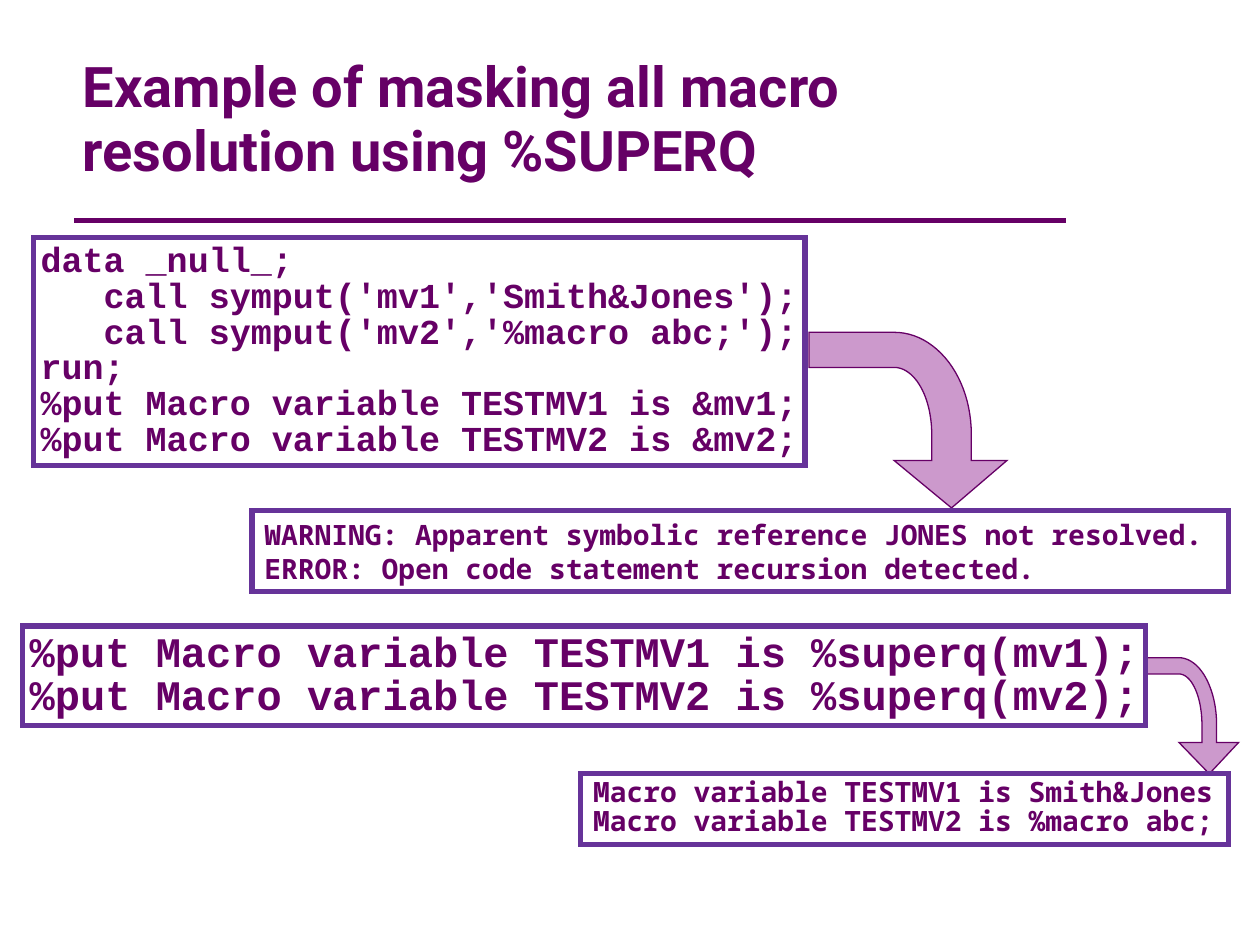
from dataclasses import dataclass
from math import cos, pi, sin

from lxml.etree import SubElement
from pptx import Presentation
from pptx.dml.color import RGBColor
from pptx.enum.shapes import MSO_CONNECTOR, MSO_SHAPE
from pptx.enum.text import MSO_ANCHOR, MSO_AUTO_SIZE, PP_ALIGN
from pptx.oxml.ns import qn
from pptx.util import Cm, Pt

PLUM, VIOLET, LILAC, WHITE = "660066", "663399", "CC99CC", "FFFFFF"
CODE_FONT, LOG_FONT, TITLE_FONT = "Courier New", "Noto Sans Mono", "Roboto"


@dataclass
class Listing:
    left: float
    top: float
    width: float
    height: float
    lines: list[str]
    font: str
    size: int
    left_inset: float = 0.15
    top_inset: float = 0.13
    spacing: float = 0.85
    wrap: bool = False


@dataclass
class BentArrow:
    left: float
    top: float
    width: float
    height: float
    stroke: float


LISTINGS = [
    Listing(0.67, 4.79, 15.56, 4.6, [
        "data _null_;",
        "   call symput('mv1','Smith&Jones');",
        "   call symput('mv2','%macro abc;');",
        "run;",
        "%put Macro variable TESTMV1 is &mv1;",
        "%put Macro variable TESTMV2 is &mv2;",
    ], CODE_FONT, 20),
    Listing(5.08, 10.29, 19.68, 1.63, [
        "WARNING: Apparent symbolic reference JONES not resolved.",
        "ERROR: Open code statement recursion detected.",
    ], LOG_FONT, 16, left_inset=0.25, top_inset=0.15, spacing=1.0, wrap=True),
    Listing(0.45, 12.62, 22.65, 2.01, [
        "%put Macro variable TESTMV1 is %superq(mv1);",
        "%put Macro variable TESTMV2 is %superq(mv2);",
    ], CODE_FONT, 24, top_inset=0.15),
    Listing(11.71, 15.59, 13.06, 1.43, [
        "Macro variable TESTMV1 is Smith&Jones",
        "Macro variable TESTMV2 is %macro abc;",
    ], LOG_FONT, 16, left_inset=0.25),
]

ARROWS = [
    BentArrow(16.31, 6.7, 3.99, 3.54, stroke=0.2),
    BentArrow(22.86, 13.26, 2.11, 2.34, stroke=0.14),
]


def color(hex_code: str) -> RGBColor:
    return RGBColor.from_string(hex_code)


def write_text(frame, lines: list[str], *, font: str, size: int, spacing: float,
               left_inset: float, right_inset: float, top_inset: float,
               anchor=MSO_ANCHOR.TOP, wrap: bool = True, grow: bool = False) -> None:
    frame.word_wrap = wrap
    frame.auto_size = MSO_AUTO_SIZE.SHAPE_TO_FIT_TEXT if grow else MSO_AUTO_SIZE.NONE
    frame.vertical_anchor = anchor
    frame.margin_left, frame.margin_right = Cm(left_inset), Cm(right_inset)
    frame.margin_top = frame.margin_bottom = Cm(top_inset)
    for index, line in enumerate(lines):
        paragraph = frame.add_paragraph() if index else frame.paragraphs[0]
        paragraph.alignment = PP_ALIGN.LEFT
        paragraph.line_spacing = spacing
        run = paragraph.add_run()
        run.text = line
        run.font.name = font
        run.font.size = Pt(size)
        run.font.bold = True
        run.font.color.rgb = color(PLUM)


def paint(shape, fill: str, outline: str, weight: float) -> None:
    shape.shadow.inherit = False
    shape.fill.solid()
    shape.fill.fore_color.rgb = color(fill)
    shape.line.color.rgb = color(outline)
    shape.line.width = Pt(weight)
    SubElement(shape._element.spPr.find(qn("a:ln")), qn("a:miter"), lim="800000")


def draw_title(slide) -> None:
    title = slide.shapes.add_textbox(Cm(1.42), Cm(1.05), Cm(16.38), Cm(2.74))
    write_text(title.text_frame, ["Example of masking all macro resolution using %SUPERQ"],
               font=TITLE_FONT, size=32, spacing=0.95, left_inset=0.25,
               right_inset=0.25, top_inset=0.13, anchor=MSO_ANCHOR.MIDDLE)
    rule = slide.shapes.add_connector(MSO_CONNECTOR.STRAIGHT,
                                      Cm(1.5), Cm(4.45), Cm(21.49), Cm(4.45))
    rule.line.color.rgb = color(PLUM)
    rule.line.width = Pt(3)
    SubElement(rule._element.spPr, qn("a:effectLst"))


def draw_listing(slide, listing: Listing) -> None:
    box = slide.shapes.add_shape(MSO_SHAPE.RECTANGLE, Cm(listing.left), Cm(listing.top),
                                 Cm(listing.width), Cm(listing.height))
    paint(box, WHITE, VIOLET, 3)
    write_text(box.text_frame, listing.lines, font=listing.font, size=listing.size,
               spacing=listing.spacing, left_inset=listing.left_inset, right_inset=0.05,
               top_inset=listing.top_inset, wrap=listing.wrap, grow=True)


def quarter_bend(start_x: float, end_x: float, top: float, bottom: float,
                 steps: int = 24) -> list[tuple[float, float]]:
    angles = [pi / 2 * step / steps for step in range(steps + 1)]
    return [(start_x + (end_x - start_x) * sin(angle),
             bottom - (bottom - top) * cos(angle)) for angle in angles]


def draw_arrow(slide, arrow: BentArrow) -> None:
    bend_x, bend_y, head_y, tip_x = 0.43, 0.58, 0.73, 0.72
    inner_x, outer_x = tip_x - arrow.stroke / 2, tip_x + arrow.stroke / 2
    outer_bend = quarter_bend(bend_x, outer_x, 0, bend_y)
    inner_bend = quarter_bend(bend_x, inner_x, arrow.stroke, bend_y)
    head = [(outer_x, head_y), (1, head_y), (tip_x, 1), (bend_x, head_y), (inner_x, head_y)]
    outline = [(0, 0), *outer_bend, *head, *reversed(inner_bend), (0, arrow.stroke)]
    points = [(Cm(arrow.left + x * arrow.width), Cm(arrow.top + y * arrow.height))
              for x, y in outline]
    builder = slide.shapes.build_freeform(*points[0])
    builder.add_line_segments(points[1:], close=True)
    paint(builder.convert_to_shape(), LILAC, PLUM, 0.75)


def main() -> None:
    presentation = Presentation()
    presentation.slide_width, presentation.slide_height = Cm(25.4), Cm(19.05)
    slide = presentation.slides.add_slide(presentation.slide_layouts[6])
    draw_title(slide)
    for arrow in ARROWS:
        draw_arrow(slide, arrow)
    for listing in LISTINGS:
        draw_listing(slide, listing)
    presentation.save("out.pptx")


if __name__ == "__main__":
    main()
